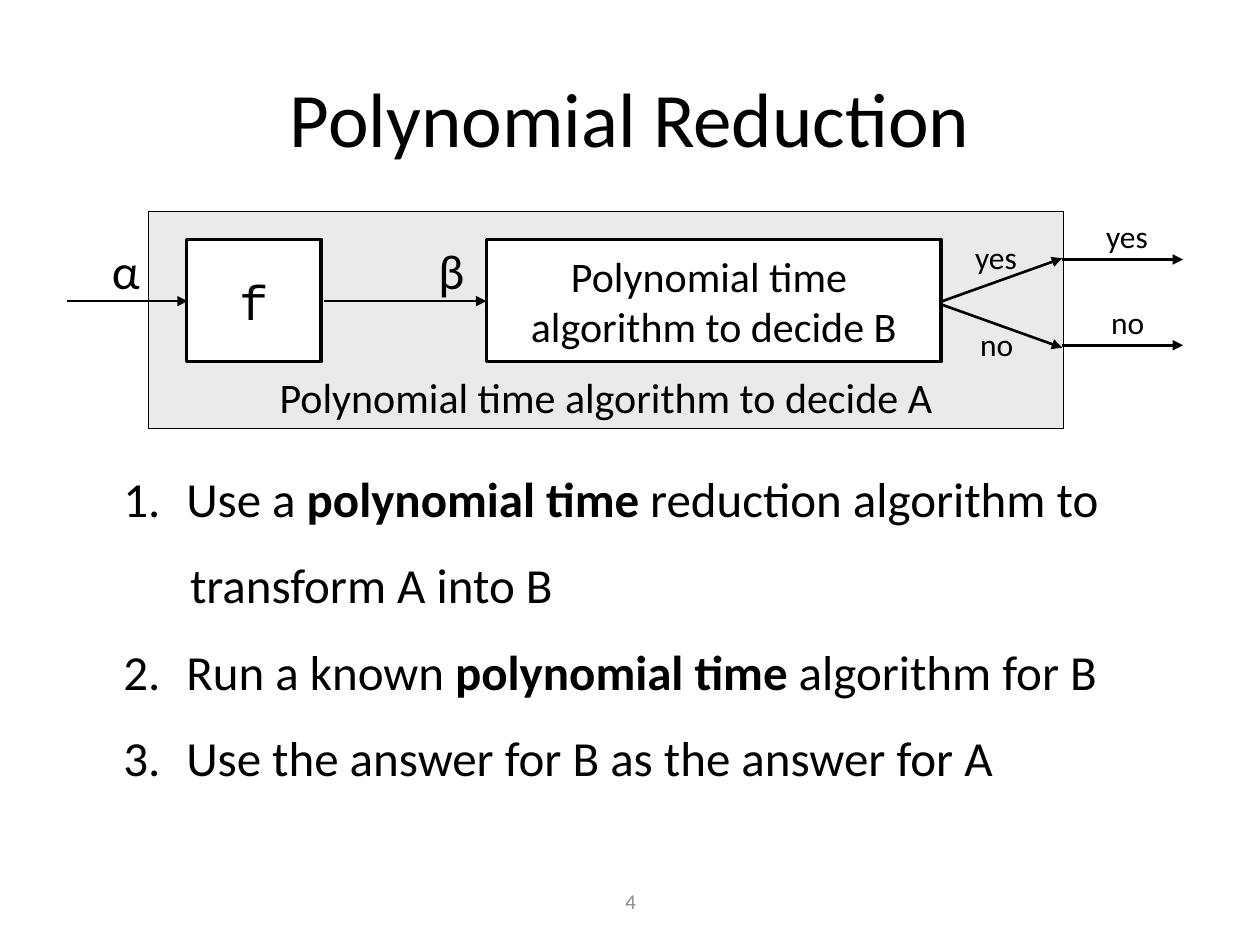
import dataclasses

import pptx
import pptx.dml.color
import pptx.enum.shapes
import pptx.enum.text
import pptx.oxml.xmlchemy
import pptx.util

Align = pptx.enum.text.PP_ALIGN
Anchor = pptx.enum.text.MSO_ANCHOR
Pt = pptx.util.Pt
COLS = 100  # square grid cells across the slide
CELL = pptx.util.Inches(10) // COLS


@dataclasses.dataclass(frozen=True)
class Theme:
    ink: str = "000000"
    paper: str = "FFFFFF"
    shade: str = "EAEAEA"
    mute: str = "8C8C8C"
    sans: str = "Calibri"
    mono: str = "Courier New"
    title: int = 44
    large: int = 28
    mid: int = 24
    small: int = 18
    tiny: int = 12


THEME = Theme()


@dataclasses.dataclass
class Box:
    x: float
    y: float
    w: float
    h: float

    def inner(self, x, y, w, h):
        return Box(self.x + x, self.y + y, w, h)

    def emu(self):
        return [round(n * CELL) for n in (self.x, self.y, self.w, self.h)]


def rgb(code):
    return pptx.dml.color.RGBColor.from_string(code)


def style(para, size, face=THEME.sans, color=THEME.ink, align=Align.LEFT):
    para.alignment = align
    para.font.size = Pt(size)
    para.font.name = face
    para.font.color.rgb = rgb(color)


def write(frame, text, size, anchor=Anchor.TOP, wrap=False, **look):
    frame.word_wrap = wrap
    frame.vertical_anchor = anchor
    frame.text = text
    for para in frame.paragraphs:
        style(para, size, **look)


def label(slide, box, text, size, **look):
    write(slide.shapes.add_textbox(*box.emu()).text_frame, text, size, **look)


def block(slide, box, text, size, fill, width, anchor=Anchor.MIDDLE, **look):
    shape = slide.shapes.add_shape(
        pptx.enum.shapes.MSO_SHAPE.RECTANGLE, *box.emu())
    shape.shadow.inherit = False
    shape.fill.solid()
    shape.fill.fore_color.rgb = rgb(fill)
    shape.line.color.rgb = rgb(THEME.ink)
    shape.line.width = Pt(width)
    write(shape.text_frame, text, size, anchor, align=Align.CENTER, **look)


def add(parent, tag, **attrs):
    node = pptx.oxml.xmlchemy.OxmlElement(tag)
    for key, value in attrs.items():
        node.set(key, str(value))
    parent.append(node)


def arrow(slide, box, x1, y1, x2, y2):
    ends = (box.x + x1, box.y + y1, box.x + x2, box.y + y2)
    link = slide.shapes.add_connector(
        pptx.enum.shapes.MSO_CONNECTOR.STRAIGHT,
        *(round(n * CELL) for n in ends))
    link.line.color.rgb = rgb(THEME.ink)
    link.line.width = Pt(1.5)
    props = link._element.spPr
    add(props.ln, "a:tailEnd", type="triangle")
    add(props, "a:effectLst")


def heading(slide, box, text):
    title = slide.shapes.title
    title.left, title.top, title.width, title.height = box.emu()
    write(title.text_frame, text, THEME.title, Anchor.MIDDLE, True,
          align=Align.CENTER)


def diagram(slide, box):
    block(slide, box.inner(6.5, 0.1, 72.6, 17.2),
          "Polynomial time algorithm to decide A", THEME.mid, THEME.shade,
          0.75, Anchor.BOTTOM)
    block(slide, box.inner(9.5, 2.3, 10.7, 9.7), "f", THEME.large,
          THEME.paper, 2, face=THEME.mono)
    block(slide, box.inner(33.3, 2.3, 36.1, 9.7),
          "Polynomial time \nalgorithm to decide B", THEME.mid,
          THEME.paper, 2)
    for text, x, start, end in (("α", 2.6, 0, 9.6), ("β", 28.5, 20.4, 33.3)):
        label(slide, box.inner(x, 1.9, 4.5, 5.7), text, THEME.large)
        arrow(slide, box, start, 7.2, end, 7.2)
    for text, x, y, width, fork, tip, out in (
            ("yes", 71.1, 1.7, 5.9, 7.2, 3.8, 3.9),
            ("no", 71.5, 8.6, 4.8, 7.5, 10.9, 10.7)):
        arrow(slide, box, 69.5, fork, 79, tip)
        arrow(slide, box, 79, out, 88.6, out)
        for dx, dy in ((0, 0), (10.4, -1.7)):
            label(slide, box.inner(x + dx, y + dy, width, 4), text,
                  THEME.small)


def steps(slide, box, items):
    """Each item is a number (None continues the last) and (text, bold) runs."""
    frame = slide.shapes.add_textbox(*box.emu()).text_frame
    frame.word_wrap = True
    for i, (number, runs) in enumerate(items):
        para = frame.add_paragraph() if i else frame.paragraphs[0]
        props = para._p.get_or_add_pPr()
        hang = 5 if number else 0
        props.set("marL", str(round((10 if number else 10.3) * CELL)))
        props.set("indent", str(-hang * CELL))
        if number:
            add(props, "a:buFont", typeface="+mj-lt")
            add(props, "a:buAutoNum", type="arabicPeriod", startAt=number)
        para.line_spacing = 1.3
        if i:
            para.space_before = Pt(THEME.large * 0.2)
        style(para, THEME.large)
        for text, bold in runs:
            run = para.add_run()
            run.text = text
            if bold:
                run.font.bold = True


def main():
    deck = pptx.Presentation()
    deck.slide_width, deck.slide_height = COLS * CELL, 75 * CELL
    slide = deck.slides.add_slide(deck.slide_layouts[5])
    heading(slide, Box(5, 3, 90, 12.5), "Polynomial Reduction")
    diagram(slide, Box(5.3, 16.7, 88.7, 17.3))
    key = ("polynomial time", True)
    steps(slide, Box(3.8, 35.3, 92.9, 33.5), [
        (1, [("Use a ", False), key, (" reduction algorithm to", False)]),
        (None, [("transform A into B", False)]),
        (2, [("Run a known ", False), key, (" algorithm for B", False)]),
        (2, [("Use the answer for B as the answer for A", False)]),
    ])
    label(slide, Box(34.2, 69.5, 31.7, 4), "4", THEME.tiny,
          anchor=Anchor.MIDDLE, wrap=True, color=THEME.mute,
          align=Align.CENTER)
    deck.save("out.pptx")


if __name__ == "__main__":
    main()
